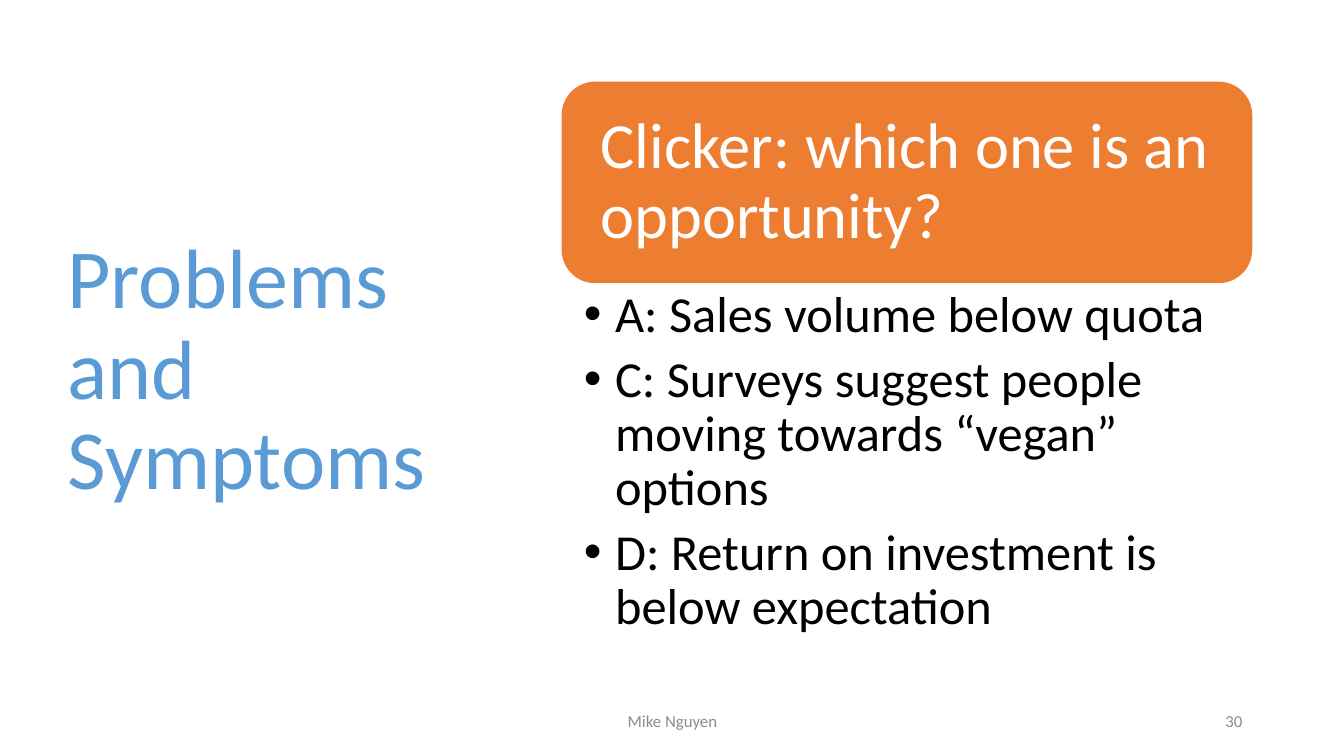
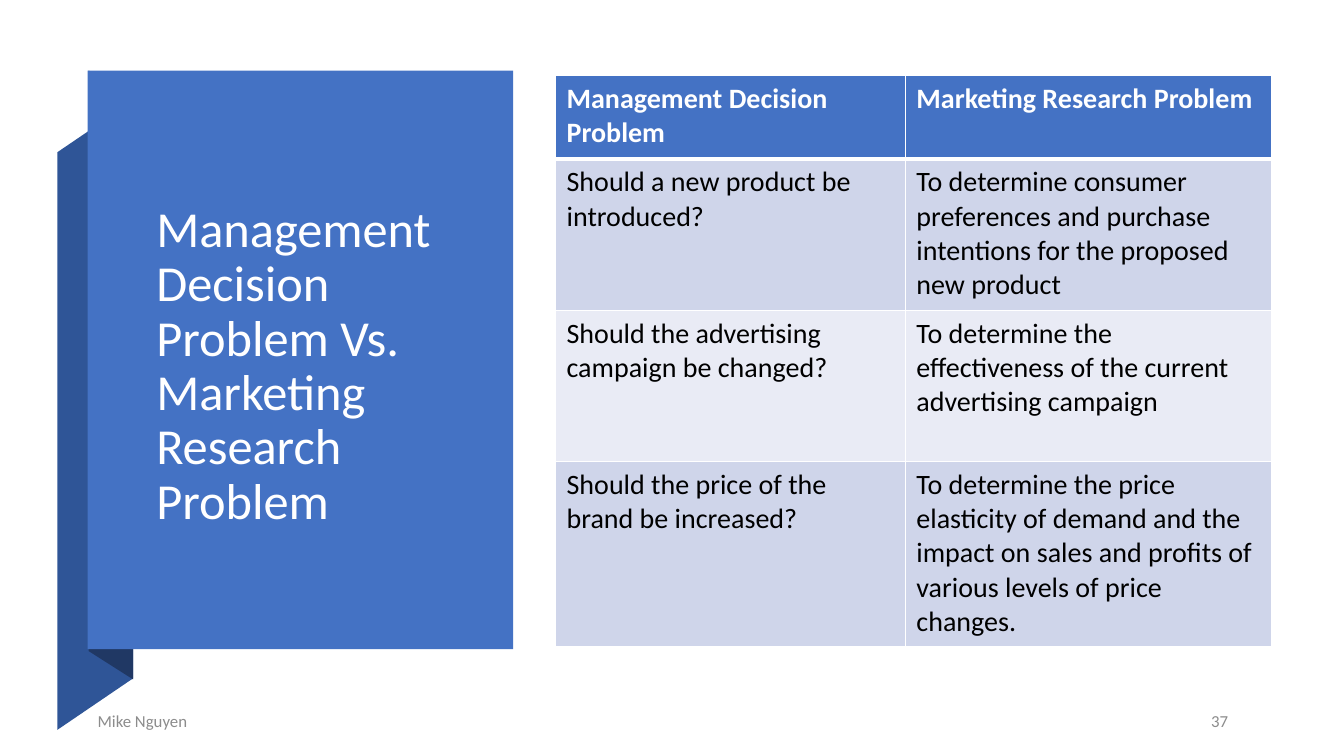
from dataclasses import dataclass
from typing import Any, NamedTuple, Sequence

from lxml import etree
from pptx import Presentation
from pptx.dml.color import RGBColor
from pptx.enum.shapes import MSO_SHAPE
from pptx.enum.text import MSO_ANCHOR, MSO_AUTO_SIZE, PP_ALIGN
from pptx.oxml.ns import qn
from pptx.util import Inches, Pt

LEFT, CENTER, RIGHT = PP_ALIGN.LEFT, PP_ALIGN.CENTER, PP_ALIGN.RIGHT
TOP, MIDDLE = MSO_ANCHOR.TOP, MSO_ANCHOR.MIDDLE
NO_FIT = MSO_AUTO_SIZE.NONE
RECTANGLE, ROUNDED = MSO_SHAPE.RECTANGLE, MSO_SHAPE.ROUNDED_RECTANGLE
CONTENT_LAYOUT, TITLE_LAYOUT = 1, 5


@dataclass(frozen=True)
class Theme:
    font: str = "Calibri"
    white: RGBColor = RGBColor(0xFF, 0xFF, 0xFF)
    black: RGBColor = RGBColor(0, 0, 0)
    grey: RGBColor = RGBColor(0x8C, 0x8C, 0x8C)
    sky: RGBColor = RGBColor(0x5B, 0x9B, 0xD5)
    orange: RGBColor = RGBColor(0xED, 0x7D, 0x31)
    blue: RGBColor = RGBColor(0x44, 0x72, 0xC4)
    ribbon: RGBColor = RGBColor(0x2F, 0x55, 0x97)
    fold: RGBColor = RGBColor(0x20, 0x38, 0x64)
    dark_band: RGBColor = RGBColor(0xCF, 0xD5, 0xEA)
    light_band: RGBColor = RGBColor(0xE9, 0xEB, 0xF5)
    big_title: int = 60
    question: int = 46
    heading: int = 36
    table: int = 20
    footer: int = 12


THEME = Theme()


class Box(NamedTuple):
    left: float
    top: float
    width: float
    height: float

    def emu(self) -> list[int]:
        return [Inches(length) for length in self]


class TextStyle(NamedTuple):
    size: int
    color: RGBColor
    bold: bool = False
    align: Any = LEFT
    spacing: float = 1.0
    after: float = 0


class FooterPart(NamedTuple):
    text: str
    box: Box
    align: Any


class Facet(NamedTuple):
    points: Sequence[tuple[float, float]]
    color: RGBColor


def assign(target: Any, values: dict[str, Any]) -> None:
    for name, value in values.items():
        setattr(target, name, value)


def write(frame: Any, lines: Sequence[str], style: TextStyle) -> None:
    frame.text = "\n".join(lines)
    for paragraph in frame.paragraphs:
        assign(paragraph, {"alignment": style.align, "line_spacing": style.spacing,
                           "space_before": Pt(0), "space_after": Pt(style.after)})
        font = paragraph.runs[0].font
        assign(font, {"name": THEME.font, "size": Pt(style.size), "bold": style.bold})
        font.color.rgb = style.color


def set_frame(frame: Any, anchor: Any, insets: Sequence[float] = (0.1, 0.05, 0.1, 0.05)) -> None:
    sides = ("margin_left", "margin_top", "margin_right", "margin_bottom")
    assign(frame, {"word_wrap": True, "auto_size": NO_FIT, "vertical_anchor": anchor,
                   **dict(zip(sides, map(Inches, insets)))})


def place(shape: Any, box: Box) -> None:
    assign(shape, dict(zip(("left", "top", "width", "height"), box.emu())))


def paint(shape: Any, color: RGBColor) -> None:
    shape.shadow.inherit = False
    shape.fill.solid()
    shape.fill.fore_color.rgb = color
    shape.line.fill.background()


def add_title(slide: Any, text: str, box: Box, size: int, color: RGBColor) -> Any:
    title = slide.shapes.title
    place(title, box)
    set_frame(title.text_frame, MIDDLE)
    write(title.text_frame, [text], TextStyle(size, color, spacing=0.9))
    return title


def add_footer(slide: Any, parts: Sequence[FooterPart]) -> None:
    for part in parts:
        frame = slide.shapes.add_textbox(*part.box.emu()).text_frame
        set_frame(frame, MIDDLE)
        write(frame, [part.text], TextStyle(THEME.footer, THEME.grey, align=part.align, after=6))


def add_facet(slide: Any, facet: Facet) -> Any:
    start, *rest = [(Inches(x), Inches(y)) for x, y in facet.points]
    builder = slide.shapes.build_freeform(*start)
    builder.add_line_segments(rest, close=True)
    shape = builder.convert_to_shape()
    paint(shape, facet.color)
    return shape


def add_border(cell: Any, side: str, points: float) -> None:
    line = etree.SubElement(cell._tc.get_or_add_tcPr(), qn(f"a:ln{side}"), w=str(Pt(points)))
    fill = etree.SubElement(line, qn("a:solidFill"))
    etree.SubElement(fill, qn("a:srgbClr"), val=str(THEME.white))


def add_comparison(slide: Any, box: Box, widths: Sequence[float], heights: Sequence[float],
                   rows: Sequence[Sequence[str]]) -> None:
    table = slide.shapes.add_table(len(rows), len(widths), *box.emu()).table
    for column, width in zip(table.columns, widths):
        column.width = Inches(width)
    for index, (row, height, texts) in enumerate(zip(table.rows, heights, rows)):
        row.height = Inches(height)
        header = index == 0
        band = THEME.dark_band if index % 2 else THEME.light_band
        color = THEME.white if header else THEME.black
        edges = {"L": 1, "R": 1, "T": 3 if index == 1 else 1, "B": 3 if header else 1}
        for cell, text in zip(row.cells, texts):
            for side, points in edges.items():
                add_border(cell, side, points)
            cell.fill.solid()
            cell.fill.fore_color.rgb = THEME.blue if header else band
            assign(cell, {"margin_left": Inches(0.11), "margin_right": Inches(0.11),
                          "margin_top": Inches(0.06), "margin_bottom": Inches(0.06),
                          "vertical_anchor": TOP})
            write(cell.text_frame, [text], TextStyle(THEME.table, color, bold=header))


def build_question(deck: Any) -> None:
    slide = deck.slides.add_slide(deck.slide_layouts[CONTENT_LAYOUT])
    add_title(slide, "Problems and Symptoms", Box(0.57, 0.68, 4.16, 6.02),
              THEME.big_title, THEME.sky)
    add_footer(slide, [FooterPart("Mike Nguyen", Box(4.42, 6.95, 4.5, 0.4), CENTER),
                       FooterPart("30", Box(9.42, 6.95, 3, 0.4), RIGHT)])

    question = slide.shapes.add_shape(ROUNDED, *Box(5.57, 0.81, 6.85, 2).emu())
    paint(question, THEME.orange)
    set_frame(question.text_frame, MIDDLE, (0.29, 0.29, 0.29, 0.29))
    write(question.text_frame, ["Clicker: which one is an opportunity?"],
          TextStyle(THEME.question, THEME.white, spacing=0.9))

    answers = slide.placeholders[1]
    place(answers, Box(5.57, 2.81, 6.85, 3.75))
    set_frame(answers.text_frame, TOP, (0.22, 0.06, 0.36, 0.06))
    write(answers.text_frame,
          ["A: Sales volume below quota",
           "C: Surveys suggest people moving towards “vegan” options",
           "D: Return on investment is below expectation"],
          TextStyle(THEME.heading, THEME.black, spacing=0.9, after=7))
    indent = Inches(0.31)
    for paragraph in answers.text_frame.paragraphs:
        properties = paragraph._p.get_or_add_pPr()
        properties.set("marL", str(indent))
        properties.set("indent", str(-indent))
        etree.SubElement(properties, qn("a:buChar"), char="•")


def build_comparison(deck: Any) -> None:
    slide = deck.slides.add_slide(deck.slide_layouts[TITLE_LAYOUT])
    title = add_title(slide, "Management Decision Problem Vs. Marketing Research Problem",
                      Box(1.45, 1.67, 3.01, 3.94), THEME.heading, THEME.white)
    facets = [
        Facet([(0.57, 7.24), (1.32, 6.73), (1.32, 1), (0.57, 1.51)], THEME.ribbon),
        Facet([(0.88, 6.46), (1.32, 6.74), (1.32, 0.99), (0.88, 0.7)], THEME.fold),
    ]
    backdrop = [add_facet(slide, facet) for facet in facets]
    panel = slide.shapes.add_shape(RECTANGLE, *Box(0.87, 0.7, 4.22, 5.74).emu())
    paint(panel, THEME.blue)
    for shape in [*backdrop, panel]:
        title.element.addprevious(shape.element)

    add_footer(slide, [FooterPart("Mike Nguyen", Box(0.87, 6.98, 7.56, 0.35), LEFT),
                       FooterPart("37", Box(11.53, 6.98, 0.75, 0.35), RIGHT)])
    add_comparison(slide, Box(5.51, 0.75, 7.1, 5.65), (3.47, 3.63), (0.83, 1.5, 1.5, 1.83), [
        ("Management Decision Problem", "Marketing Research Problem"),
        ("Should a new product be introduced?",
         "To determine consumer preferences and purchase intentions for the proposed new product"),
        ("Should the advertising campaign be changed?",
         "To determine the effectiveness of the current advertising campaign"),
        ("Should the price of the brand be increased?",
         "To determine the price elasticity of demand and the impact on sales and profits "
         "of various levels of price changes."),
    ])


def main() -> None:
    deck = Presentation()
    assign(deck, {"slide_width": Inches(13.33), "slide_height": Inches(7.5)})
    build_question(deck)
    build_comparison(deck)
    deck.save("out.pptx")


if __name__ == "__main__":
    main()
